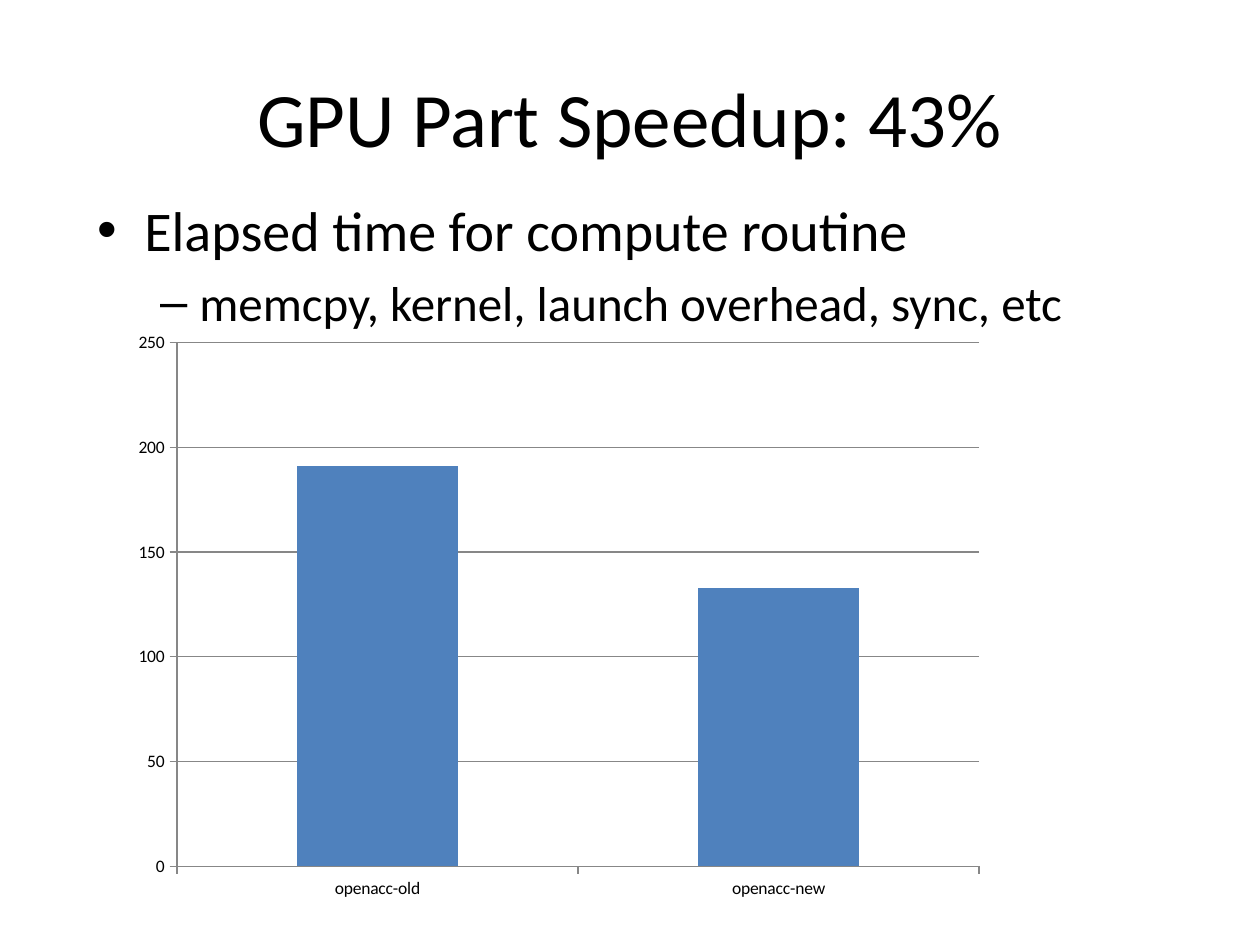
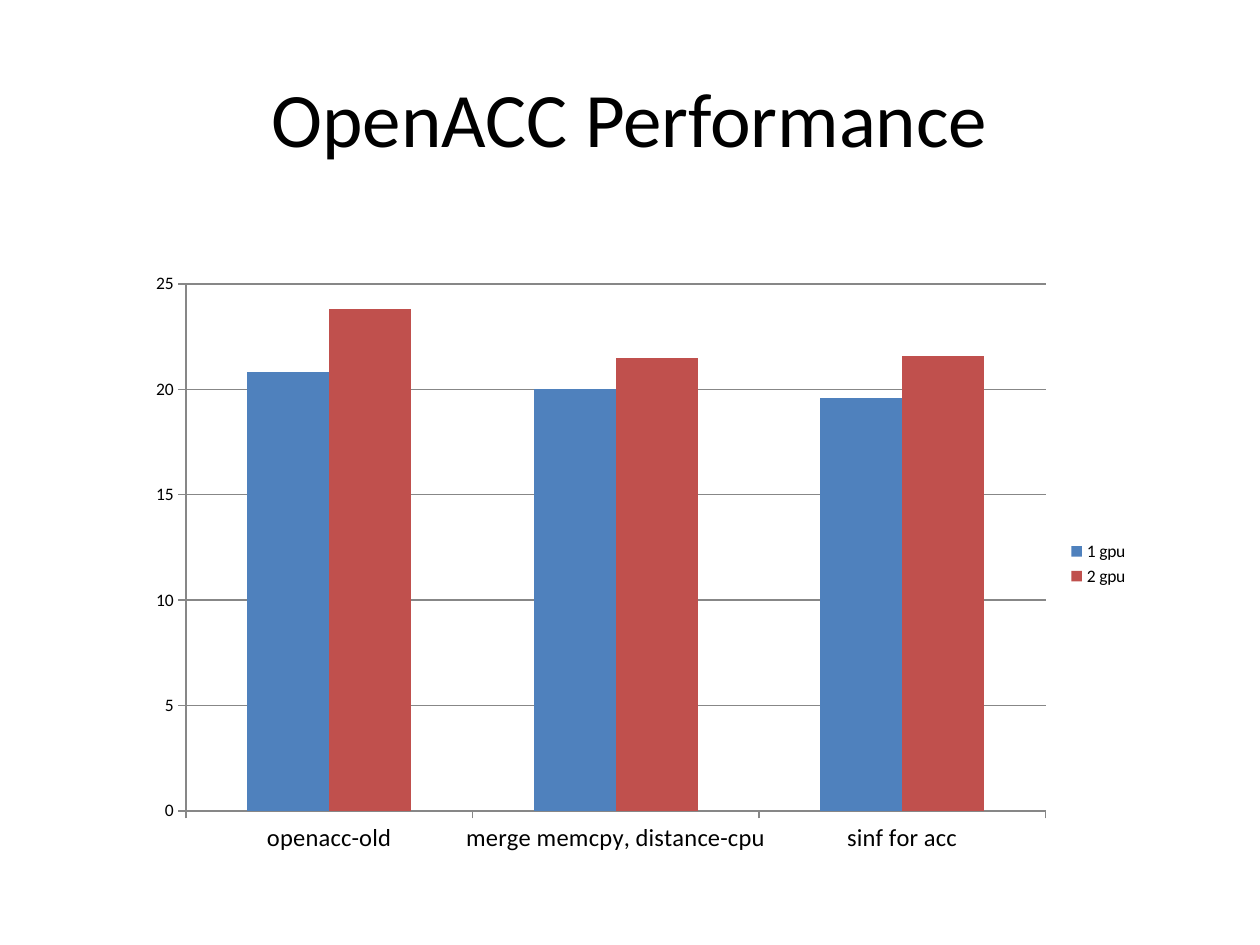
"""Build two slides of column charts on GPU run times."""
from dataclasses import dataclass
from typing import Optional

from lxml import etree
from pptx import Presentation
from pptx.chart.data import CategoryChartData
from pptx.dml.color import RGBColor
from pptx.enum.chart import XL_CHART_TYPE, XL_LEGEND_POSITION, XL_TICK_MARK
from pptx.enum.text import MSO_ANCHOR, PP_ALIGN
from pptx.oxml.ns import qn
from pptx.util import Inches, Pt

COLUMNS = XL_CHART_TYPE.COLUMN_CLUSTERED
RIGHT = XL_LEGEND_POSITION.RIGHT
OUTSIDE = XL_TICK_MARK.OUTSIDE
MIDDLE = MSO_ANCHOR.MIDDLE
CENTER = PP_ALIGN.CENTER
TITLE_BODY, TITLE_ONLY = 1, 5


@dataclass(frozen=True)
class Theme:
    font: str = "Calibri"
    text: str = "000000"
    paper: str = "FFFFFF"
    grid: str = "878787"
    bars: tuple = ("4F81BD", "C0504D")
    title: int = 44
    levels: tuple = (32, 28)
    chart: int = 10
    line: float = 0.75


@dataclass(frozen=True)
class Box:
    left: float
    top: float
    width: float
    height: float

    def place(self) -> tuple:
        return tuple(Inches(n) for n in (self.left, self.top, self.width, self.height))


@dataclass(frozen=True)
class Graph:
    box: Box
    cats: tuple
    series: dict
    top: float
    step: float
    label: int = 10
    legend: bool = False
    plot: Optional[Box] = None


@dataclass(frozen=True)
class Page:
    title: str
    graph: Graph
    points: tuple = ()


THEME = Theme()
TITLE = Box(0.5, 0.3, 9, 1.25)
BODY = Box(0.67, 1.5, 9, 4.95)

PAGES = (
    Page(
        "GPU Part Speedup: 43%",
        Graph(
            Box(0.92, 2.58, 6.92, 4.67),
            ("openacc-old", "openacc-new"),
            {"Series 1": (191, 133)},
            top=250,
            step=50,
            plot=Box(0.07, 0.03, 0.92, 0.89),
        ),
        ("Elapsed time for compute routine",
         "memcpy, kernel, launch overhead, sync, etc"),
    ),
    Page(
        "OpenACC Performance",
        Graph(
            Box(1.08, 2.08, 7.98, 4.79),
            ("openacc-old", "merge memcpy, distance-cpu", "sinf for acc"),
            {"1 gpu": (20.8, 20, 19.6), "2 gpu": (23.8, 21.5, 21.6)},
            top=25,
            step=5,
            label=14,
            legend=True,
        ),
    ),
)


def style(font, size: float) -> None:
    font.name = THEME.font
    font.size = Pt(size)
    font.color.rgb = RGBColor.from_string(THEME.text)


def move(shape, box: Box) -> None:
    shape.left, shape.top, shape.width, shape.height = box.place()


def rule(line) -> None:
    line.width = Pt(THEME.line)
    line.color.rgb = RGBColor.from_string(THEME.grid)


def add_title(slide, text: str) -> None:
    shape = slide.shapes.title
    move(shape, TITLE)
    frame = shape.text_frame
    frame.text = text
    frame.vertical_anchor = MIDDLE
    para = frame.paragraphs[0]
    para.alignment = CENTER
    style(para.font, THEME.title)


def add_points(slide, points: tuple) -> None:
    shape = slide.placeholders[1]
    move(shape, BODY)
    frame = shape.text_frame
    frame.text = "\n".join(points)
    for level, para in enumerate(frame.paragraphs):
        para.level = level
        style(para.font, THEME.levels[level])


def set_plot(chart, box: Box) -> None:
    area = chart.element.find(".//" + qn("c:plotArea"))
    for old in area.findall(qn("c:layout")):
        area.remove(old)
    layout = etree.Element(qn("c:layout"))
    area.insert(0, layout)
    manual = etree.SubElement(layout, qn("c:manualLayout"))
    parts = {"layoutTarget": "inner", "xMode": "edge", "yMode": "edge",
             "x": box.left, "y": box.top, "w": box.width, "h": box.height}
    for name, value in parts.items():
        etree.SubElement(manual, qn(f"c:{name}")).set("val", str(value))


def add_graph(slide, graph: Graph) -> None:
    data = CategoryChartData()
    data.categories = graph.cats
    for name, values in graph.series.items():
        data.add_series(name, values)
    chart = slide.shapes.add_chart(COLUMNS, *graph.box.place(), data).chart
    chart.has_title = False
    style(chart.font, THEME.chart)
    chart.has_legend = graph.legend
    if graph.legend:
        chart.legend.position = RIGHT
        chart.legend.include_in_layout = False
    for axis in (chart.category_axis, chart.value_axis):
        axis.major_tick_mark = OUTSIDE
        rule(axis.format.line)
    style(chart.category_axis.tick_labels.font, graph.label)
    scale = chart.value_axis
    scale.minimum_scale, scale.maximum_scale = 0, graph.top
    scale.major_unit = graph.step
    scale.has_major_gridlines = True
    rule(scale.major_gridlines.format.line)
    plot = chart.plots[0]
    plot.gap_width, plot.overlap = 150, 0
    plot.vary_by_categories = False
    for series, color in zip(plot.series, THEME.bars):
        series.format.fill.solid()
        series.format.fill.fore_color.rgb = RGBColor.from_string(color)
    if graph.plot:
        set_plot(chart, graph.plot)


def add_page(deck, page: Page) -> None:
    layout = deck.slide_layouts[TITLE_BODY if page.points else TITLE_ONLY]
    slide = deck.slides.add_slide(layout)
    fill = slide.background.fill
    fill.solid()
    fill.fore_color.rgb = RGBColor.from_string(THEME.paper)
    add_title(slide, page.title)
    if page.points:
        add_points(slide, page.points)
    add_graph(slide, page.graph)


def main() -> None:
    deck = Presentation()
    deck.slide_width, deck.slide_height = Inches(10), Inches(7.5)
    for page in PAGES:
        add_page(deck, page)
    deck.save("out.pptx")


if __name__ == "__main__":
    main()
